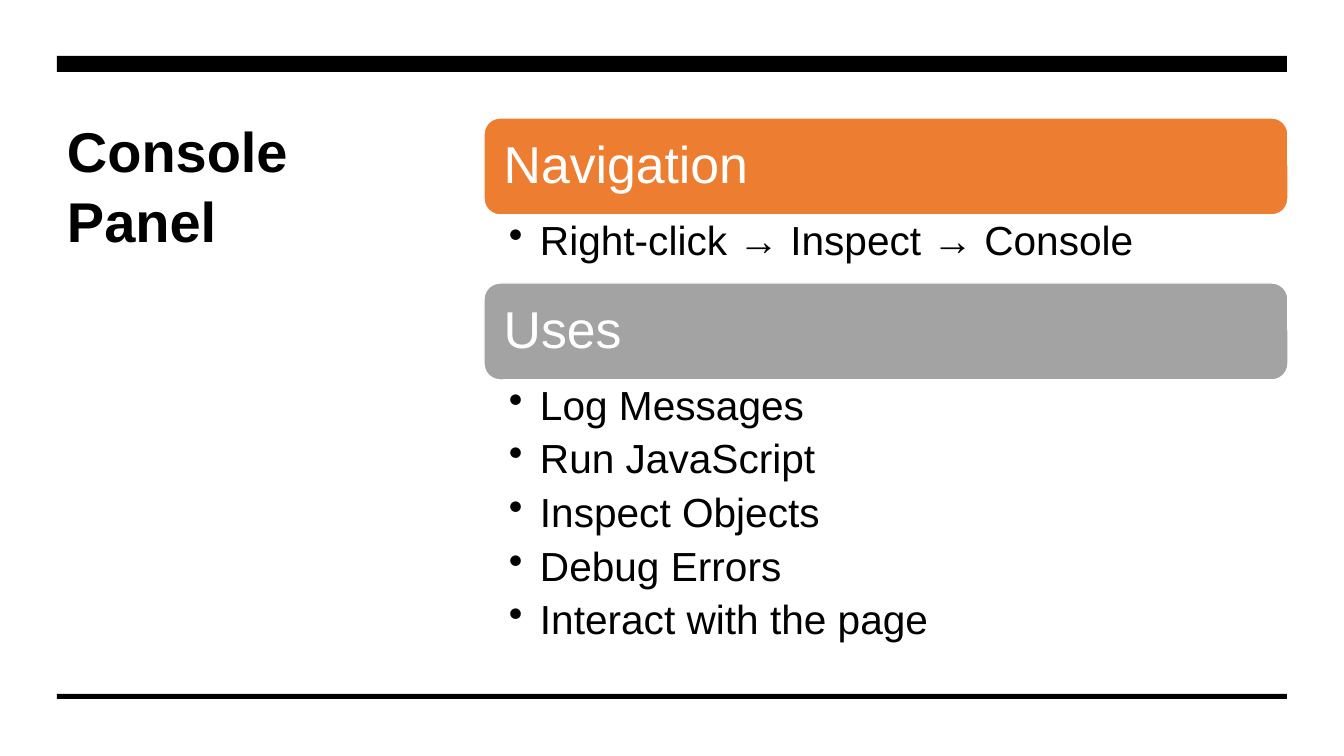
import pptx
import pptx.util
import pptx.dml.color
import pptx.enum.shapes
import pptx.enum.text
from lxml import etree

# Content
TITLE = "Console Panel"
PARTS = [
    ("Navigation", "orange", ["Right-click → Inspect → Console"]),
    ("Uses", "gray", ["Log Messages", "Run JavaScript", "Inspect Objects",
                      "Debug Errors", "Interact with the page"]),
]
COLORS = {"black": "000000", "white": "FFFFFF",
          "orange": "ED7D31", "gray": "A3A3A3"}
FONT = "Arial"

# Layout in px
WIDE, HIGH = 1344, 756
LEFT, SPAN = 57, 1230
BARS = [(0, 0, WIDE, HIGH, "white"),
        (LEFT, 56, SPAN, 16, "black"),
        (LEFT, 694, SPAN, 5, "black")]
COL, COL_W = 484, 804
TOP, HEAD_H = 118, 97
PAD, STEP = 16, 52
INDENT = 31

SHAPE = pptx.enum.shapes.MSO_SHAPE
ANCHOR = pptx.enum.text.MSO_ANCHOR


def px(n):
    return pptx.util.Emu(round(n * 914400 / 100.8))


def color(name):
    return pptx.dml.color.RGBColor.from_string(COLORS[name])


def add_box(slide, kind, x, y, w, h, fill, line=None):
    box = slide.shapes.add_shape(kind, px(x), px(y), px(w), px(h))
    box.shadow.inherit = False
    box.fill.solid()
    box.fill.fore_color.rgb = color(fill)
    if line:
        box.line.color.rgb = color(line)
        box.line.width = pptx.util.Pt(1)
    else:
        box.line.fill.background()
    return box


def add_label(slide, x, y, w, h):
    return slide.shapes.add_textbox(px(x), px(y), px(w), px(h))


def put_text(shape, lines, size, ink="black", bold=False, pad=(10, 5, 10, 5),
             anchor=ANCHOR.TOP, space=0.9, after=0, bullet=None):
    frame = shape.text_frame
    frame.word_wrap = True
    frame.vertical_anchor = anchor
    (frame.margin_left, frame.margin_top,
     frame.margin_right, frame.margin_bottom) = map(px, pad)
    for i, line in enumerate(lines):
        para = frame.add_paragraph() if i else frame.paragraphs[0]
        para.alignment = pptx.enum.text.PP_ALIGN.LEFT
        para.line_spacing = space
        para.space_after = pptx.util.Pt(after)
        run = para.add_run()
        run.text = line
        run.font.name = FONT
        run.font.size = pptx.util.Pt(size)
        run.font.bold = bold
        run.font.color.rgb = color(ink)
        if bullet:
            props = para._p.get_or_add_pPr()
            props.set("marL", str(px(INDENT)))
            props.set("indent", str(-px(INDENT)))
            mark = etree.SubElement(props, pptx.oxml.ns.qn("a:buChar"))
            mark.set("char", bullet)


def main():
    deck = pptx.Presentation()
    deck.slide_width, deck.slide_height = px(WIDE), px(HIGH)
    slide = deck.slides.add_slide(deck.slide_layouts[6])

    # Backdrop and rules
    for x, y, w, h, fill in BARS:
        add_box(slide, SHAPE.RECTANGLE, x, y, w, h, fill)

    # Title
    put_text(add_label(slide, LEFT, 108, 348, 449), [TITLE], 40,
             bold=True, space=1.05, after=6)

    # Headed lists, stacked
    y = TOP
    for head, fill, items in PARTS:
        box = add_box(slide, SHAPE.ROUNDED_RECTANGLE, COL, y, COL_W, HEAD_H,
                      fill, line="white")
        put_text(box, [head], 37, ink="white", pad=(15, 15, 15, 15),
                 anchor=ANCHOR.MIDDLE)
        y += HEAD_H
        tall = PAD + STEP * len(items)
        put_text(add_label(slide, COL, y, COL_W, tall), items, 29,
                 pad=(25, 5, 29, 5), after=7, bullet="•")
        y += tall

    deck.save("out.pptx")


if __name__ == "__main__":
    main()
